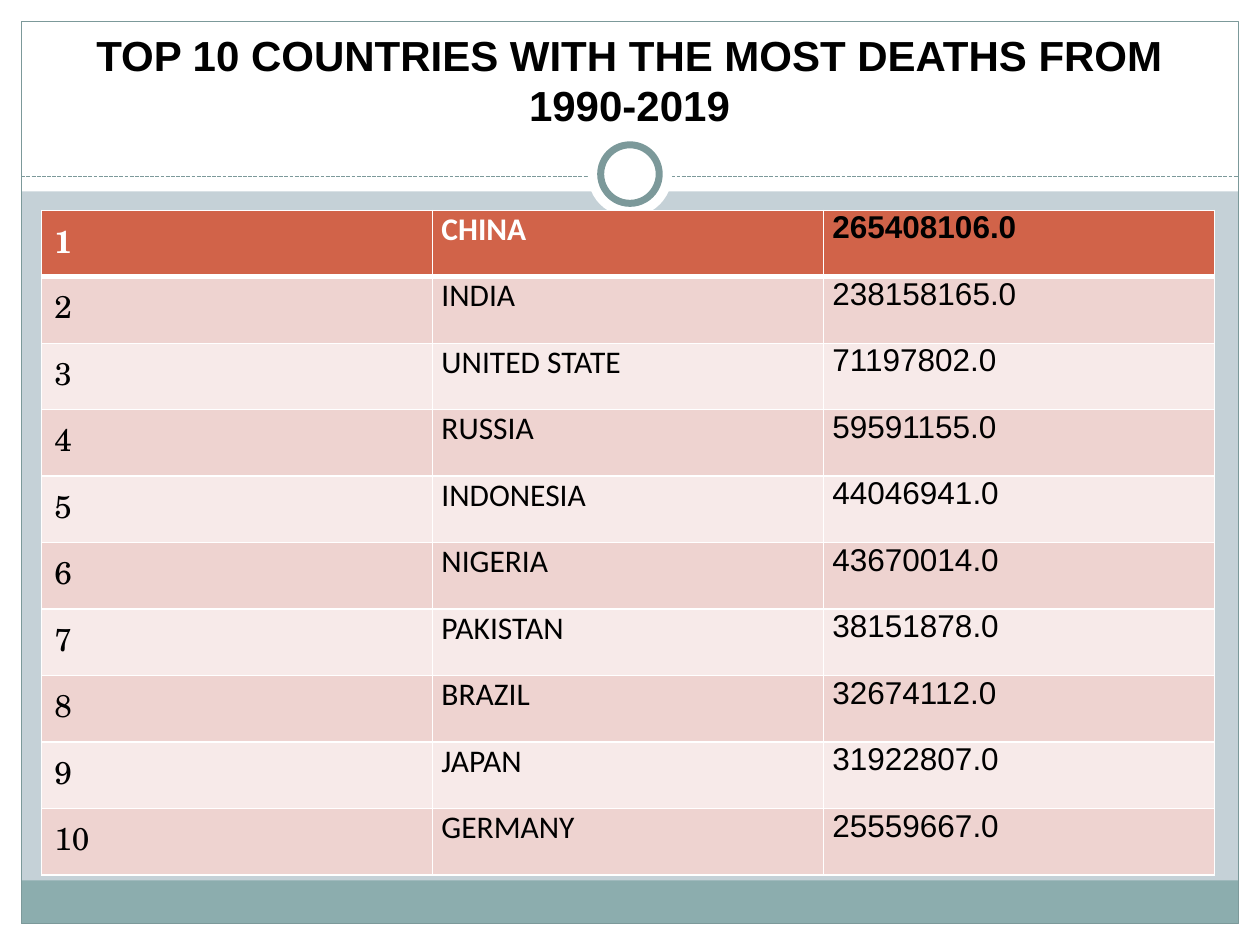
from dataclasses import dataclass
from typing import Optional

from lxml import etree
from pptx import Presentation
from pptx.dml.color import RGBColor
from pptx.enum.dml import MSO_LINE
from pptx.enum.shapes import MSO_CONNECTOR, MSO_SHAPE
from pptx.enum.text import MSO_ANCHOR, PP_ALIGN
from pptx.oxml.ns import qn
from pptx.util import Cm, Pt

RECTANGLE = MSO_SHAPE.RECTANGLE
OVAL = MSO_SHAPE.OVAL
STRAIGHT = MSO_CONNECTOR.STRAIGHT
DASHED = MSO_LINE.SQUARE_DOT
BOTTOM = MSO_ANCHOR.BOTTOM
CENTER = PP_ALIGN.CENTER

SLIDE_WIDTH, SLIDE_HEIGHT = 25.4, 19.05
MARGIN = 0.43
INNER_WIDTH = SLIDE_WIDTH - 2 * MARGIN
INNER_HEIGHT = SLIDE_HEIGHT - 2 * MARGIN
TABLE_LEFT, TABLE_TOP = 0.84, 4.24
COLUMN_WIDTH, ROW_HEIGHT = 7.88, 1.34

COLORS = {
    "background": "C5D1D7",
    "white": "FFFFFF",
    "black": "000000",
    "footer": "8CADAE",
    "outline": "7C999A",
    "first_row": "D16349",
    "dark_band": "EED3D0",
    "light_band": "F7EAE9",
}


@dataclass(frozen=True)
class Panel:
    """A decorative shape; lengths in centimetres, line width in points."""
    left: float
    top: float
    width: float
    height: float
    fill: Optional[str] = "white"
    line_width: float = 0
    preset: int = RECTANGLE


@dataclass(frozen=True)
class Column:
    font: str
    first_row_color: str
    tight_margins: bool


PANELS = [
    Panel(0, SLIDE_HEIGHT - MARGIN, SLIDE_WIDTH, MARGIN),
    Panel(0, 0, SLIDE_WIDTH, 3.86),
    Panel(0, 0, MARGIN, SLIDE_HEIGHT),
    Panel(SLIDE_WIDTH - MARGIN, 0, MARGIN, SLIDE_HEIGHT),
    Panel(MARGIN, 17.75, INNER_WIDTH, 0.87, "footer"),
    Panel(MARGIN, MARGIN, INNER_WIDTH, INNER_HEIGHT, None, 0.75),
]
RING = [
    Panel(11.85, 2.67, 1.7, 1.7, preset=OVAL),
    Panel(12.11, 2.92, 1.18, 1.18, line_width=4, preset=OVAL),
]

COLUMNS = [
    Column("TeX Gyre Schola", "white", False),
    Column("Calibri", "white", True),
    Column("Arial", "black", True),
]
DEATHS = [
    ("CHINA", "265408106.0"),
    ("INDIA", "238158165.0"),
    ("UNITED STATE", "71197802.0"),
    ("RUSSIA", "59591155.0"),
    ("INDONESIA", "44046941.0"),
    ("NIGERIA", "43670014.0"),
    ("PAKISTAN", "38151878.0"),
    ("BRAZIL", "32674112.0"),
    ("JAPAN", "31922807.0"),
    ("GERMANY", "25559667.0"),
]


def rgb(name: str) -> RGBColor:
    return RGBColor.from_string(COLORS[name])


def add_panel(slide, panel: Panel) -> None:
    shape = slide.shapes.add_shape(
        panel.preset, Cm(panel.left), Cm(panel.top), Cm(panel.width), Cm(panel.height))
    shape.shadow.inherit = False
    if panel.fill:
        shape.fill.solid()
        shape.fill.fore_color.rgb = rgb(panel.fill)
    else:
        shape.fill.background()
    if panel.line_width:
        shape.line.color.rgb = rgb("outline")
        shape.line.width = Pt(panel.line_width)
    else:
        shape.line.fill.background()


def add_divider(slide, top: float) -> None:
    divider = slide.shapes.add_connector(
        STRAIGHT, Cm(MARGIN), Cm(top), Cm(SLIDE_WIDTH - MARGIN), Cm(top))
    divider.line.color.rgb = rgb("outline")
    divider.line.width = Pt(0.75)
    divider.line.dash_style = DASHED
    etree.SubElement(divider._element.spPr, qn("a:effectLst"))


def add_run(paragraph, text: str, font: str, size: float, color: str, bold: bool) -> None:
    run = paragraph.add_run()
    run.text = text
    run.font.name = font
    run.font.size = Pt(size)
    run.font.bold = bold
    run.font.color.rgb = rgb(color)


def add_title(slide, text: str) -> None:
    frame = slide.shapes.add_textbox(Cm(0.84), Cm(0.64), Cm(23.7), Cm(2.11)).text_frame
    frame.word_wrap = True
    frame.vertical_anchor = BOTTOM
    paragraph = frame.paragraphs[0]
    paragraph.alignment = CENTER
    add_run(paragraph, text, "Arial", 24, "black", True)


def set_borders(cell, bottom_width: float) -> None:
    """Draw white borders; they must precede the fill in the cell properties."""
    properties = cell._tc.get_or_add_tcPr()
    widths = {"a:lnL": 1, "a:lnR": 1, "a:lnT": 1, "a:lnB": bottom_width}
    for tag, width in widths.items():
        border = etree.SubElement(properties, qn(tag), w=str(Pt(width)))
        fill = etree.SubElement(border, qn("a:solidFill"))
        etree.SubElement(fill, qn("a:srgbClr"), val=COLORS["white"])


def fill_cell(cell, text: str, column: Column, row: int) -> None:
    is_first = row == 0
    set_borders(cell, 3 if is_first else 1)
    band = "dark_band" if row % 2 else "light_band"
    cell.fill.solid()
    cell.fill.fore_color.rgb = rgb("first_row" if is_first else band)
    if column.tight_margins:
        cell.margin_left = cell.margin_right = Cm(0.18)
        cell.margin_top = cell.margin_bottom = 0
    color = column.first_row_color if is_first else "black"
    add_run(cell.text_frame.paragraphs[0], text, column.font, 18, color, is_first)


def add_deaths_table(slide) -> None:
    table = slide.shapes.add_table(
        len(DEATHS), len(COLUMNS), Cm(TABLE_LEFT), Cm(TABLE_TOP),
        Cm(COLUMN_WIDTH * len(COLUMNS)), Cm(ROW_HEIGHT * len(DEATHS))).table
    for table_column in table.columns:
        table_column.width = Cm(COLUMN_WIDTH)
    for row, (country, deaths) in enumerate(DEATHS):
        table.rows[row].height = Cm(ROW_HEIGHT)
        for index, text in enumerate((str(row + 1), country, deaths)):
            fill_cell(table.cell(row, index), text, COLUMNS[index], row)


def main() -> None:
    presentation = Presentation()
    presentation.slide_width = Cm(SLIDE_WIDTH)
    presentation.slide_height = Cm(SLIDE_HEIGHT)
    slide = presentation.slides.add_slide(presentation.slide_layouts[6])
    slide.background.fill.solid()
    slide.background.fill.fore_color.rgb = rgb("background")
    for panel in PANELS:
        add_panel(slide, panel)
    add_divider(slide, 3.56)
    for panel in RING:
        add_panel(slide, panel)
    add_title(slide, "TOP 10 COUNTRIES WITH THE MOST DEATHS FROM 1990-2019")
    add_deaths_table(slide)
    presentation.save("out.pptx")


if __name__ == "__main__":
    main()
